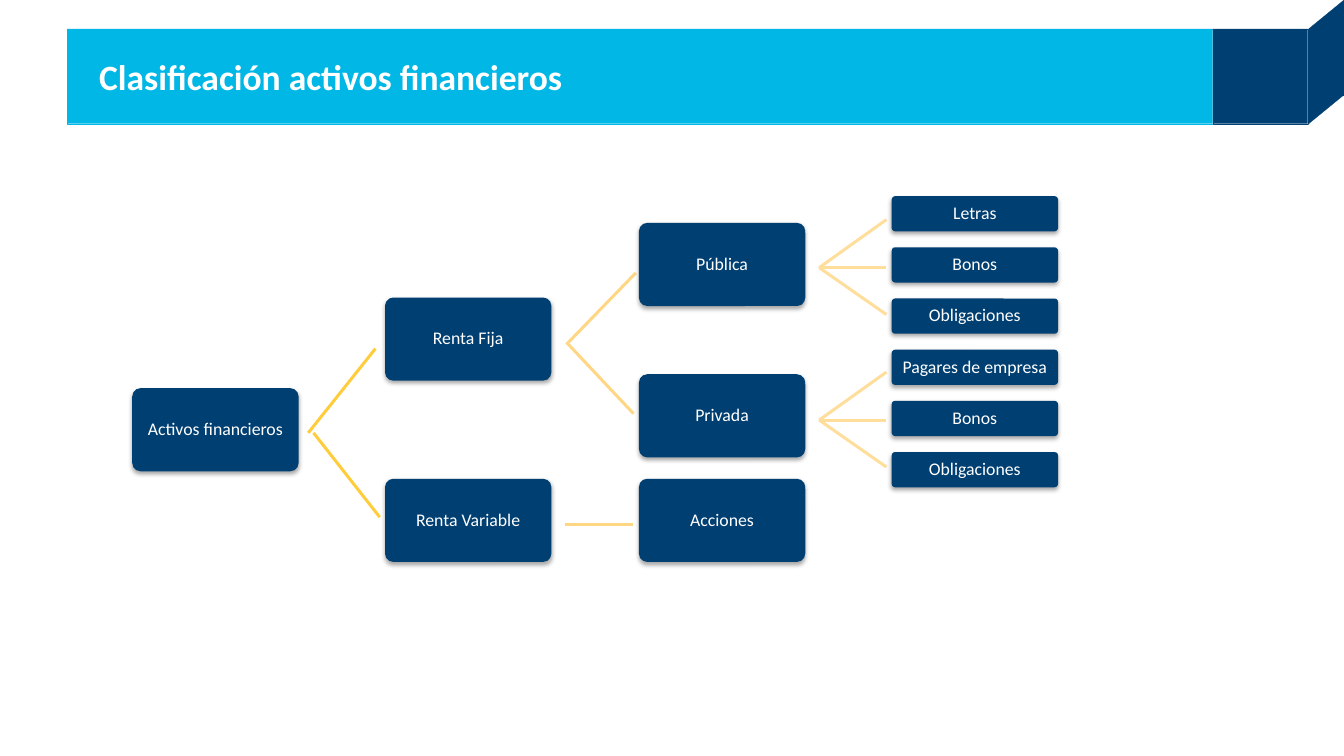
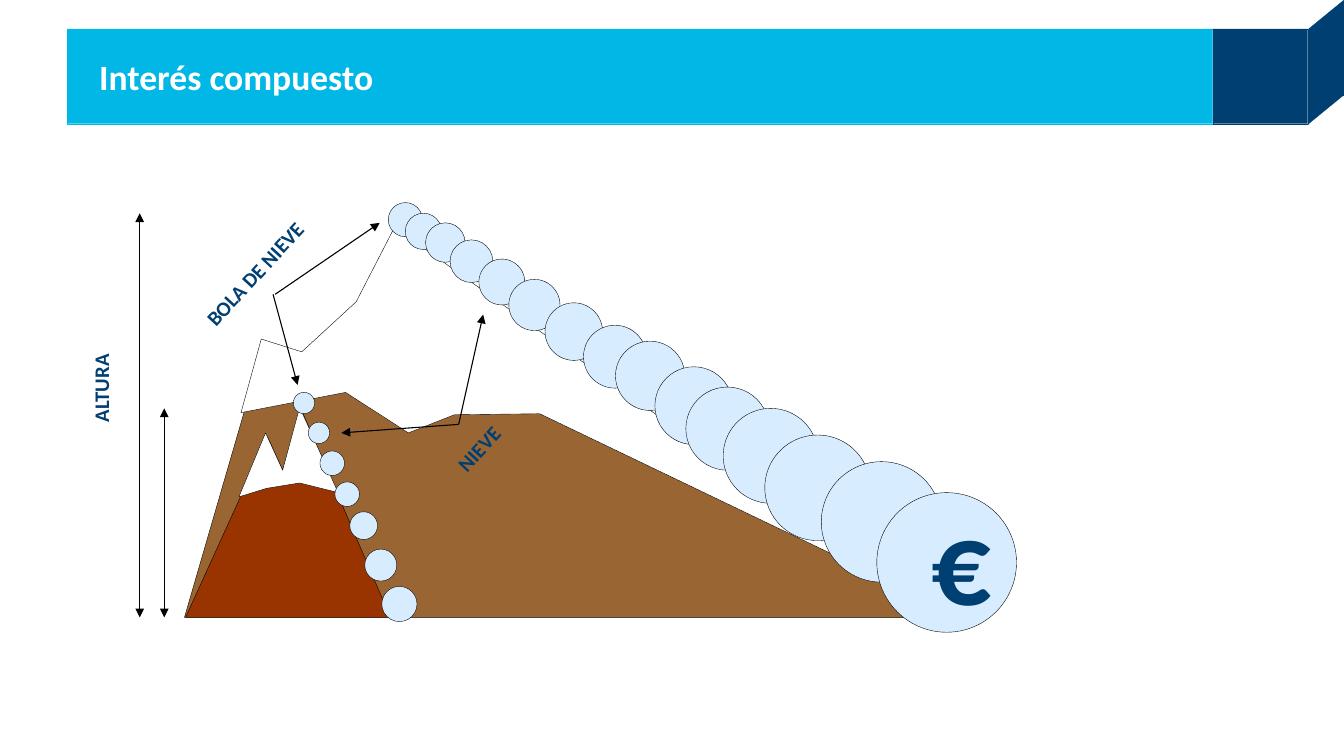
from lxml.etree import SubElement
from pptx import Presentation
from pptx.dml.color import RGBColor
from pptx.enum.shapes import MSO_CONNECTOR, MSO_SHAPE
from pptx.enum.text import MSO_ANCHOR, MSO_AUTO_SIZE, PP_ALIGN
from pptx.oxml.ns import qn
from pptx.util import Emu, Pt

PX = 9144
FONT = "Calibri"
CYAN = RGBColor(0x00, 0xB7, 0xE5)
NAVY = RGBColor(0x00, 0x3F, 0x72)
WHITE = RGBColor(0xFF, 0xFF, 0xFF)
BLACK = RGBColor(0x00, 0x00, 0x00)
GOLD = RGBColor(0xFF, 0xCD, 0x3B)
AMBER = RGBColor(0xFF, 0xD7, 0x84)
PEACH = RGBColor(0xFF, 0xDD, 0x9B)
EARTH = RGBColor(0x99, 0x66, 0x33)
RUST = RGBColor(0x99, 0x33, 0x00)
ICE = RGBColor(0xD7, 0xED, 0xFF)

COLUMNS = (0, 237, 475, 712)
BRANCHES = (
    ("Renta Fija", 1, 95, GOLD, (165, 222), (228, 143)),
    ("Renta Variable", 1, 265, GOLD, (170, 222), (232, 301)),
    ("Pública", 2, 25, AMBER, (409, 137), (472, 72)),
    ("Privada", 2, 167, AMBER, (407, 137), (470, 204)),
    ("Acciones", 2, 265, AMBER, (406, 308), (469, 308)),
)
LEAVES = ("Letras", "Bonos", "Obligaciones", "Pagares de empresa", "Bonos", "Obligaciones")
LEAF_HUBS = (67, 210)
LEAF_RISES = (-45, 0, 44)

LANDSCAPE = (
    (EARTH, ((42, 389), (117, 131), (155, 142), (183, 115), (205, 93), (240, 25), (748, 389))),
    (WHITE, ((95, 197), (114, 128), (152, 140), (203, 93), (239, 23), (702, 355),
             (375, 198), (295, 199), (252, 216), (193, 178))),
    (RUST, ((43, 389), (120, 220), (134, 251), (151, 193), (235, 389))),
    (WHITE, ((93, 276), (118, 216), (134, 251), (150, 192), (186, 272),
             (150, 263), (119, 268))),
)
SHORT_SLOPE_BALLS = (
    (144, 178, 20), (158, 206, 20), (169, 233, 23), (183, 262, 23),
    (197, 290, 26), (211, 325, 30), (227, 360, 33),
)
LONG_SLOPE_BALLS = (
    (233, 0, 32), (249, 10, 34), (268, 19, 37), (291, 35, 40), (318, 53, 43),
    (346, 72, 48), (380, 94, 54), (416, 115, 59), (446, 130, 65), (483, 154, 73),
    (512, 173, 78), (547, 193, 89), (586, 218, 99), (639, 243, 113), (691, 272, 131),
)
HEIGHT_ARROWS = (((23, 193), (23, 389)), ((0, 10), (0, 389)))
POINTERS = (
    ((125, 86), (148, 171)), ((127, 86), (225, 19)),
    ((299, 208), (189, 216)), ((299, 208), (322, 105)),
)
LABELS = (
    ("ALTURA", (-125, 157, 178, 34), 270, 14),
    ("NIEVE", (193, 214, 250, 34), 312.7, 14),
    ("BOLA DE NIEVE", (-17, 50, 250, 34), 312.7, 14),
    ("€", (732, 262, 42, 145), 0, 80),
)


def px(value):
    """Turn px into EMU."""
    return Emu(value * PX)


def assign(target, values):
    """Set every attribute named in a dict."""
    for name, value in values.items():
        setattr(target, name, value)


def paint(shape, fill, line=None, width=0.25):
    """Give a shape a flat fill and an optional outline."""
    shape.shadow.inherit = False
    shape.fill.solid()
    shape.fill.fore_color.rgb = fill
    if line is None:
        shape.line.fill.background()
    else:
        shape.line.color.rgb = line
        shape.line.width = Pt(width)


def add_solid(page, kind, box, fill, line=None, width=0.25):
    """Add a painted preset shape in a px box."""
    shape = page.shapes.add_shape(kind, *map(px, box))
    paint(shape, fill, line, width)
    return shape


def write(shape, text, size, color, bold=False, align=PP_ALIGN.CENTER,
          insets=(10, 5, 10, 5), spacing=None, anchor=MSO_ANCHOR.TOP):
    """Write one formatted paragraph into a shape."""
    frame = shape.text_frame
    sides = ("margin_left", "margin_top", "margin_right", "margin_bottom")
    assign(frame, dict(zip(sides, map(px, insets))))
    assign(frame, {"word_wrap": True, "vertical_anchor": anchor})
    para = frame.paragraphs[0]
    assign(para, {"alignment": align, "line_spacing": spacing})
    span = para.add_run()
    span.text = text
    assign(span.font, {"name": FONT, "size": Pt(size), "bold": bold})
    span.font.color.rgb = color


def add_line(page, origin, start, end, color, width, arrows=()):
    """Draw a straight line between points measured from an origin."""
    left, top = origin
    ends = (left + start[0], top + start[1], left + end[0], top + end[1])
    line = page.shapes.add_connector(MSO_CONNECTOR.STRAIGHT, *map(px, ends))
    line.line.color.rgb = color
    line.line.width = Pt(width)
    properties = line._element.spPr
    for arrow in arrows:
        SubElement(properties.find(qn("a:ln")), qn(f"a:{arrow}"), type="triangle")
    SubElement(properties, qn("a:effectLst"))


def add_header(page, box, title):
    """Draw the title band and the folded ribbon at its right end."""
    left, top, width, height = box
    ribbon, fold = left + width, left + width + height + 1
    add_solid(page, MSO_SHAPE.RECTANGLE, box, CYAN, CYAN, 0.1)
    for ribbon_box in ((ribbon, top, height, height), (fold, top, 33, 62)):
        add_solid(page, MSO_SHAPE.RECTANGLE, ribbon_box, NAVY, NAVY, 0.1)
    for corner_top, turn in ((top - 30, 270), (top + 59, 90)):
        corner = add_solid(page, MSO_SHAPE.RIGHT_TRIANGLE, (fold + 3, corner_top, 27, 33),
                           NAVY, NAVY, 0.1)
        corner.rotation = turn
    write(page.shapes.add_textbox(*map(px, box)), title, 24, WHITE, True,
          PP_ALIGN.LEFT, (30, 4, 10, 4), anchor=MSO_ANCHOR.MIDDLE)


def add_node(page, label, box, inset):
    """Add one rounded tree node with a soft shadow."""
    node = add_solid(page, MSO_SHAPE.ROUNDED_RECTANGLE, box, NAVY)
    node.adjustments[0] = 0.1
    effects = node._element.spPr.find(qn("a:effectLst"))
    shadow = SubElement(effects, qn("a:outerShdw"), blurRad="40000", dist="23000",
                        dir="5400000", rotWithShape="0")
    tint = SubElement(shadow, qn("a:srgbClr"), val=str(BLACK))
    SubElement(tint, qn("a:alpha"), val="35000")
    write(node, label, 12, WHITE, insets=(inset,) * 4, spacing=0.9,
          anchor=MSO_ANCHOR.MIDDLE)


def add_asset_tree(page, origin):
    """Draw the tree of financial assets from its top left corner."""
    left, top = origin
    add_node(page, "Activos financieros", (left, top + 180, 156, 78), 3)
    for label, column, offset, color, start, end in BRANCHES:
        add_line(page, origin, start, end, color, 2)
        add_node(page, label, (left + COLUMNS[column], top + offset, 156, 78), 3)
    for index, label in enumerate(LEAVES):
        group, place = divmod(index, len(LEAF_RISES))
        hub = LEAF_HUBS[group]
        add_line(page, origin, (644, hub), (707, hub + LEAF_RISES[place]), PEACH, 2)
        add_node(page, label, (left + COLUMNS[3], top + 48 * index, 156, 33), 2)


def add_snowball_scene(page, origin):
    """Draw the two slopes, their growing snowballs and the labels."""
    left, top = origin
    for fill, points in LANDSCAPE:
        builder = page.shapes.build_freeform(*points[0], scale=PX)
        builder.add_line_segments(points[1:], close=True)
        paint(builder.convert_to_shape(px(left), px(top)), fill, BLACK)
    for start, end in HEIGHT_ARROWS:
        add_line(page, origin, start, end, BLACK, 0.75, ("headEnd", "tailEnd"))
    for x, y, size in SHORT_SLOPE_BALLS + LONG_SLOPE_BALLS:
        add_solid(page, MSO_SHAPE.OVAL, (left + x, top + y, size, size), ICE, BLACK)
    for start, end in POINTERS:
        add_line(page, origin, start, end, BLACK, 0.75, ("tailEnd",))
    for text, (x, y, width, height), turn, size in LABELS:
        label = page.shapes.add_textbox(*map(px, (left + x, top + y, width, height)))
        label.rotation = turn
        write(label, text, size, NAVY, True)
        label.text_frame.auto_size = MSO_AUTO_SIZE.SHAPE_TO_FIT_TEXT


def main():
    """Build and save the deck."""
    deck = Presentation()
    assign(deck, {"slide_width": px(1260), "slide_height": px(709)})
    pages = (
        ("Clasificación activos financieros", add_asset_tree, (124, 184)),
        ("Interés compuesto", add_snowball_scene, (131, 190)),
    )
    for title, add_content, origin in pages:
        page = deck.slides.add_slide(deck.slide_layouts[6])
        add_header(page, (63, 27, 1074, 89), title)
        add_content(page, origin)
    deck.save("out.pptx")


if __name__ == "__main__":
    main()
